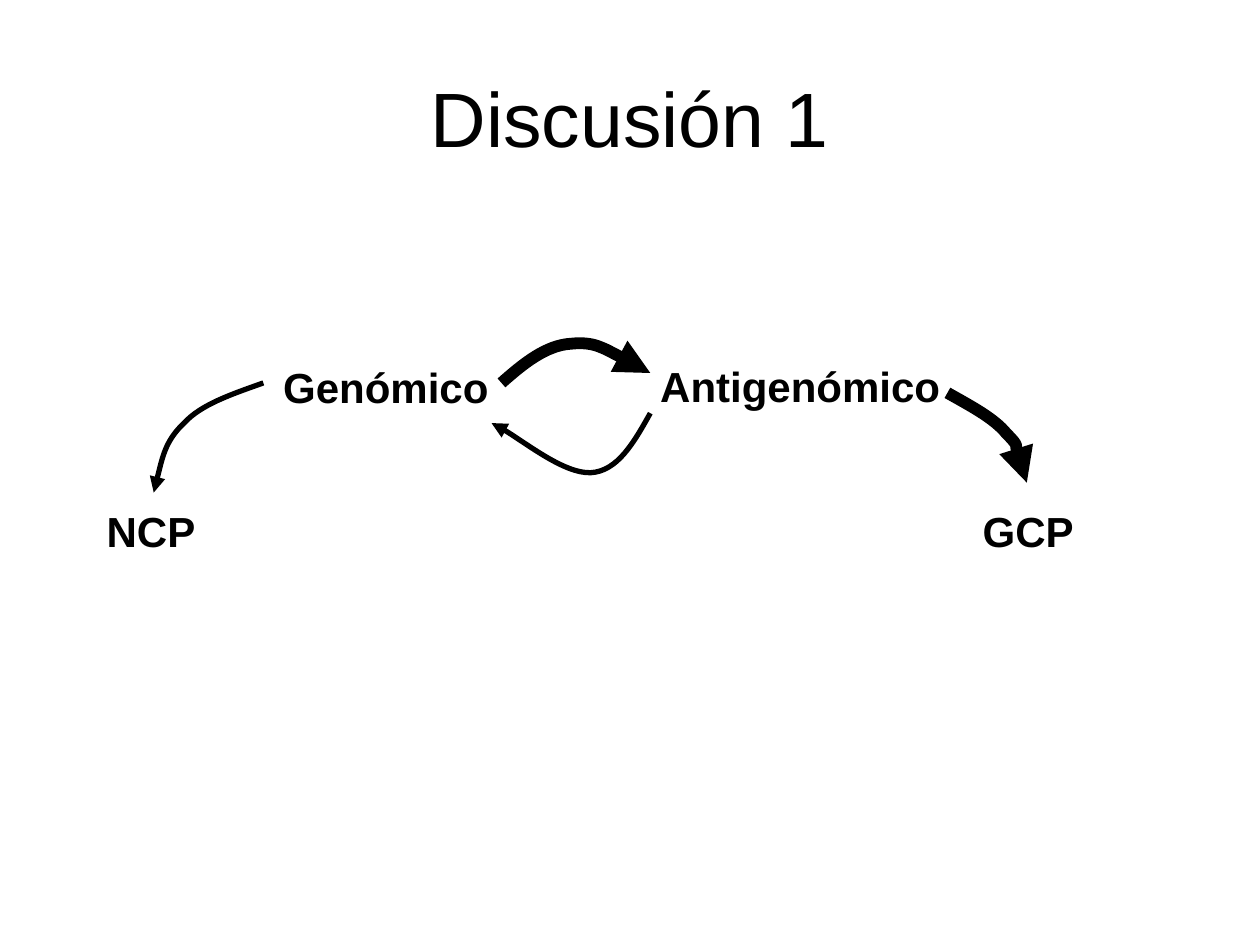
from lxml import etree
from pptx import Presentation
from pptx.dml.color import RGBColor
from pptx.enum.text import MSO_ANCHOR, MSO_AUTO_SIZE, PP_ALIGN
from pptx.oxml.ns import qn
from pptx.util import Cm, Pt

BLACK = RGBColor(0, 0, 0)
FONT = "Arial"
CENTER, LEFT = PP_ALIGN.CENTER, PP_ALIGN.LEFT
MIDDLE, TOP = MSO_ANCHOR.MIDDLE, MSO_ANCHOR.TOP
GROW = MSO_AUTO_SIZE.SHAPE_TO_FIT_TEXT
TITLE_ONLY = 5
THICK, THIN = 6.75, 3
LABEL_HEIGHT = 1.27

# Positions in cm, relative to the diagram's box: text, left, top, width
LABELS = [
    ("Genómico", 3.56, 0.31, 4.65),
    ("Antigenómico", 11.16, 0.29, 6.15),
    ("NCP", 0, 3.21, 2.29),
    ("GCP", 17.66, 3.21, 2.34),
]
# Line width, then the start and the Bézier points (three for each curve)
ARROWS = [
    (THICK, [(8.21, 0.87), (8.64, 0.49), (9.1, 0.11), (9.61, 0.08),
             (10.09, 0.03), (10.65, 0.36), (11.21, 0.67)]),
    (THIN, [(11.21, 1.48), (10.88, 2.07), (10.55, 2.65), (10.01, 2.68),
            (9.48, 2.7), (8.34, 1.81), (8.01, 1.68)]),
    (THICK, [(17.2, 1.07), (17.66, 1.33), (18.14, 1.58), (18.39, 1.89),
             (18.67, 2.17), (18.72, 2.75), (18.8, 2.88)]),
    (THIN, [(3.41, 0.87), (2.77, 1.1), (2.16, 1.3), (1.81, 1.68),
            (1.43, 2.04), (1.33, 2.55), (1.2, 3.08)]),
]


def set_text(tf, text, size, bold, align, **frame_format):
    for name, value in frame_format.items():
        setattr(tf, name, value)
    p = tf.paragraphs[0]
    p.alignment = align
    r = p.add_run()
    r.text = text
    for name, value in dict(name=FONT, size=Pt(size), bold=bold).items():
        setattr(r.font, name, value)
    r.font.color.rgb = BLACK


def add_title(s, left, top, width, height):
    title = s.shapes.title
    title.left, title.top = Cm(left), Cm(top)
    title.width, title.height = Cm(width), Cm(height)
    set_text(title.text_frame, "Discusión 1", 44, False, CENTER,
             vertical_anchor=MIDDLE, word_wrap=True)


def add_curved_arrow(s, points, weight):
    start, *rest = [(Cm(x), Cm(y)) for x, y in points]
    builder = s.shapes.build_freeform(*start)
    builder.add_line_segments(rest, close=False)
    sp = builder.convert_to_shape()
    sp.shadow.inherit = False
    sp.fill.background()
    sp.line.color.rgb = BLACK
    sp.line.width = Pt(weight)

    # Turn each three line segments into one cubic curve
    outline = sp._element.xpath(".//a:path")[0]
    segments = outline.findall(qn("a:lnTo"))
    for i in range(0, len(segments), 3):
        curve = etree.SubElement(outline, qn("a:cubicBezTo"))
        for segment in segments[i:i + 3]:
            curve.append(segment[0])
            outline.remove(segment)

    # Arrowhead
    ln = sp._element.xpath("./p:spPr/a:ln")[0]
    etree.SubElement(ln, qn("a:tailEnd"), type="triangle")


def add_diagram(s, left, top):
    # Labels
    for text, x, y, width in LABELS:
        box = s.shapes.add_textbox(Cm(left + x), Cm(top + y),
                                   Cm(width), Cm(LABEL_HEIGHT))
        set_text(box.text_frame, text, 24, True, LEFT,
                 vertical_anchor=TOP, word_wrap=False, auto_size=GROW)
    # Curved arrows
    for weight, points in ARROWS:
        add_curved_arrow(s, [(left + x, top + y) for x, y in points], weight)


def main():
    prs = Presentation()
    prs.slide_width, prs.slide_height = Cm(25.4), Cm(19.05)
    s = prs.slides.add_slide(prs.slide_layouts[TITLE_ONLY])
    add_title(s, 1.27, 0.76, 22.86, 3.18)
    add_diagram(s, 1.9, 6.85)
    prs.save("out.pptx")


if __name__ == "__main__":
    main()
